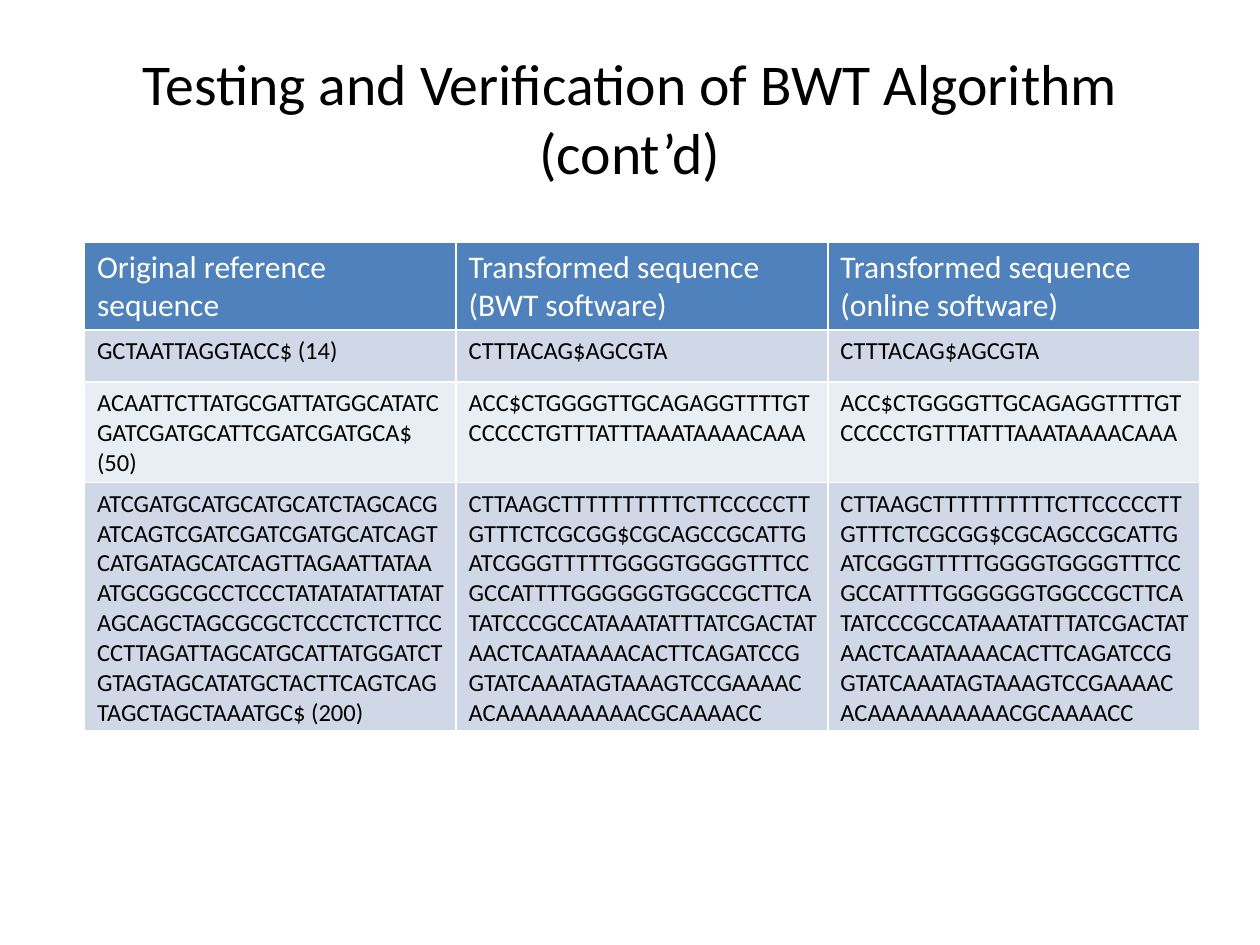
from dataclasses import dataclass

from pptx import Presentation
from pptx.dml.color import RGBColor
from pptx.enum.text import MSO_ANCHOR, PP_ALIGN
from pptx.util import Inches, Pt

FONT = "Calibri"
BLACK = RGBColor(0x00, 0x00, 0x00)
WHITE = RGBColor(0xFF, 0xFF, 0xFF)
HEADER_BLUE = RGBColor(0x4F, 0x81, 0xBD)
BAND_DARK = RGBColor(0xD0, 0xD8, 0xE8)
BAND_LIGHT = RGBColor(0xE9, 0xED, 0xF4)

COLUMN_WIDTH = 2.95
ROW_HEIGHT = 0.41  # minimum; rows grow with their text
TABLE_HEIGHT = 3.72


@dataclass(frozen=True)
class SequenceTest:
    reference: str
    transformed: str  # both programs return the same result


HEADERS = (
    "Original reference sequence",
    "Transformed sequence (BWT software)",
    "Transformed sequence (online software)",
)

TESTS = (
    SequenceTest("GCTAATTAGGTACC$ (14)", "CTTTACAG$AGCGTA"),
    SequenceTest(
        "ACAATTCTTATGCGATTATGGCATATCGATCGATGCATTCGATCGATGCA$ (50)",
        "ACC$CTGGGGTTGCAGAGGTTTTGTCCCCCTGTTTATTTAAATAAAACAAA",
    ),
    SequenceTest(
        "ATCGATGCATGCATGCATCTAGCACGATCAGTCGATCGATCGATGCATCAGT"
        "CATGATAGCATCAGTTAGAATTATAAATGCGGCGCCTCCCTATATATATTATAT"
        "AGCAGCTAGCGCGCTCCCTCTCTTCCCCTTAGATTAGCATGCATTATGGATCT"
        "GTAGTAGCATATGCTACTTCAGTCAGTAGCTAGCTAAATGC$ (200)",
        "CTTAAGCTTTTTTTTTTCTTCCCCCTTGTTTCTCGCGG$CGCAGCCGCATTG"
        "ATCGGGTTTTTGGGGTGGGGTTTCCGCCATTTTGGGGGGTGGCCGCTTCA"
        "TATCCCGCCATAAATATTTATCGACTATAACTCAATAAAACACTTCAGATCCG"
        "GTATCAAATAGTAAAGTCCGAAAACACAAAAAAAAAACGCAAAACC",
    ),
)


def add_run(p, text: str, size: float, color: RGBColor) -> None:
    r = p.add_run()
    r.text = text
    r.font.name = FONT
    r.font.size = Pt(size)
    r.font.bold = False
    r.font.color.rgb = color


def add_title(slide, text: str) -> None:
    sp = slide.shapes.add_textbox(Inches(0.5), Inches(0.3), Inches(9), Inches(1.25))
    tf = sp.text_frame
    tf.word_wrap = True
    tf.vertical_anchor = MSO_ANCHOR.MIDDLE
    p = tf.paragraphs[0]
    p.alignment = PP_ALIGN.CENTER
    add_run(p, text, 33, BLACK)


def fill_row(table, row: int, texts: tuple[str, ...], size: float,
             color: RGBColor, fill: RGBColor) -> None:
    for col, text in enumerate(texts):
        cell = table.cell(row, col)
        cell.fill.solid()
        cell.fill.fore_color.rgb = fill
        add_run(cell.text_frame.paragraphs[0], text, size, color)


def add_results_table(slide) -> None:
    rows, cols = len(TESTS) + 1, len(HEADERS)
    frame = slide.shapes.add_table(
        rows, cols, Inches(0.67), Inches(1.92),
        Inches(COLUMN_WIDTH * cols), Inches(ROW_HEIGHT * rows))
    frame.height = Inches(TABLE_HEIGHT)
    table = frame.table
    fill_row(table, 0, HEADERS, 18, WHITE, HEADER_BLUE)
    for row, test in enumerate(TESTS, start=1):
        texts = (test.reference, test.transformed, test.transformed)
        fill_row(table, row, texts, 14, BLACK, BAND_DARK if row % 2 else BAND_LIGHT)


def main() -> None:
    prs = Presentation()
    prs.slide_width = Inches(10)
    prs.slide_height = Inches(7.5)
    slide = prs.slides.add_slide(prs.slide_layouts[6])

    # Title
    add_title(slide, "Testing and Verification of BWT Algorithm (cont’d)")

    # Comparison of the two programs
    add_results_table(slide)

    prs.save("out.pptx")


if __name__ == "__main__":
    main()
